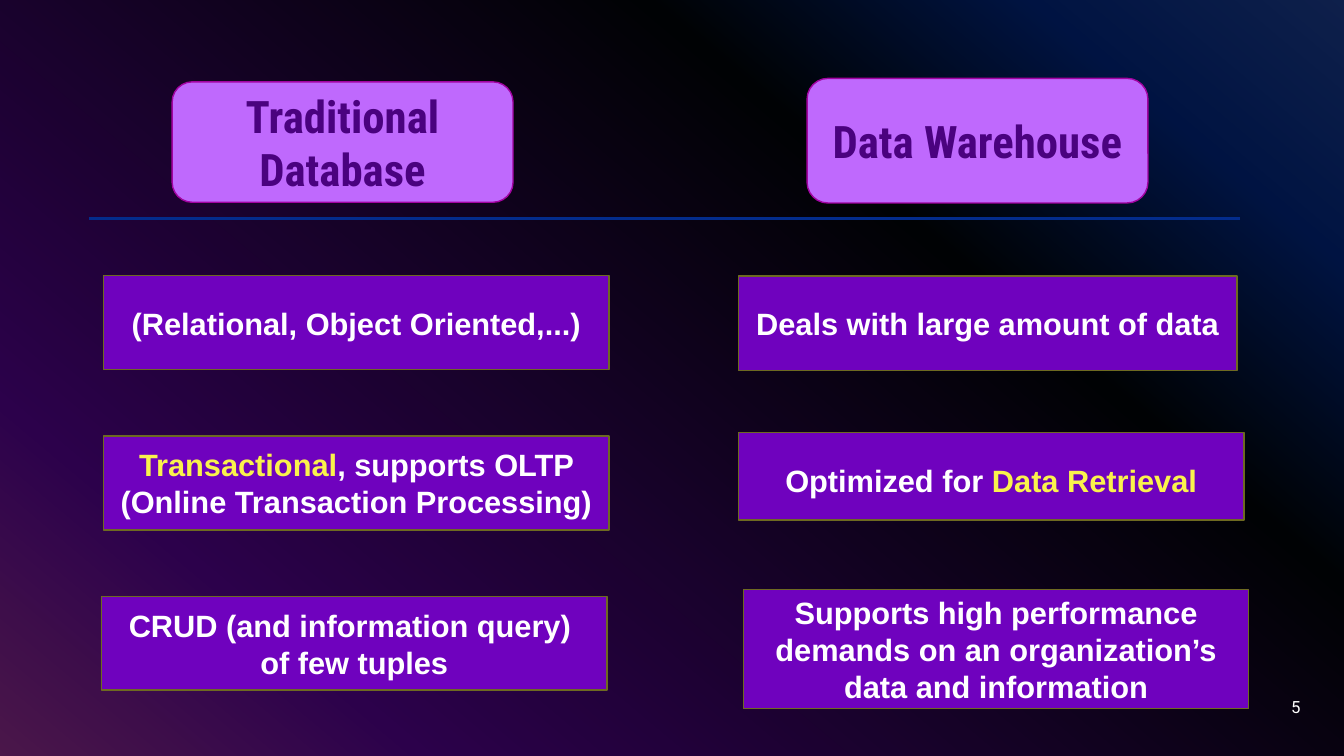
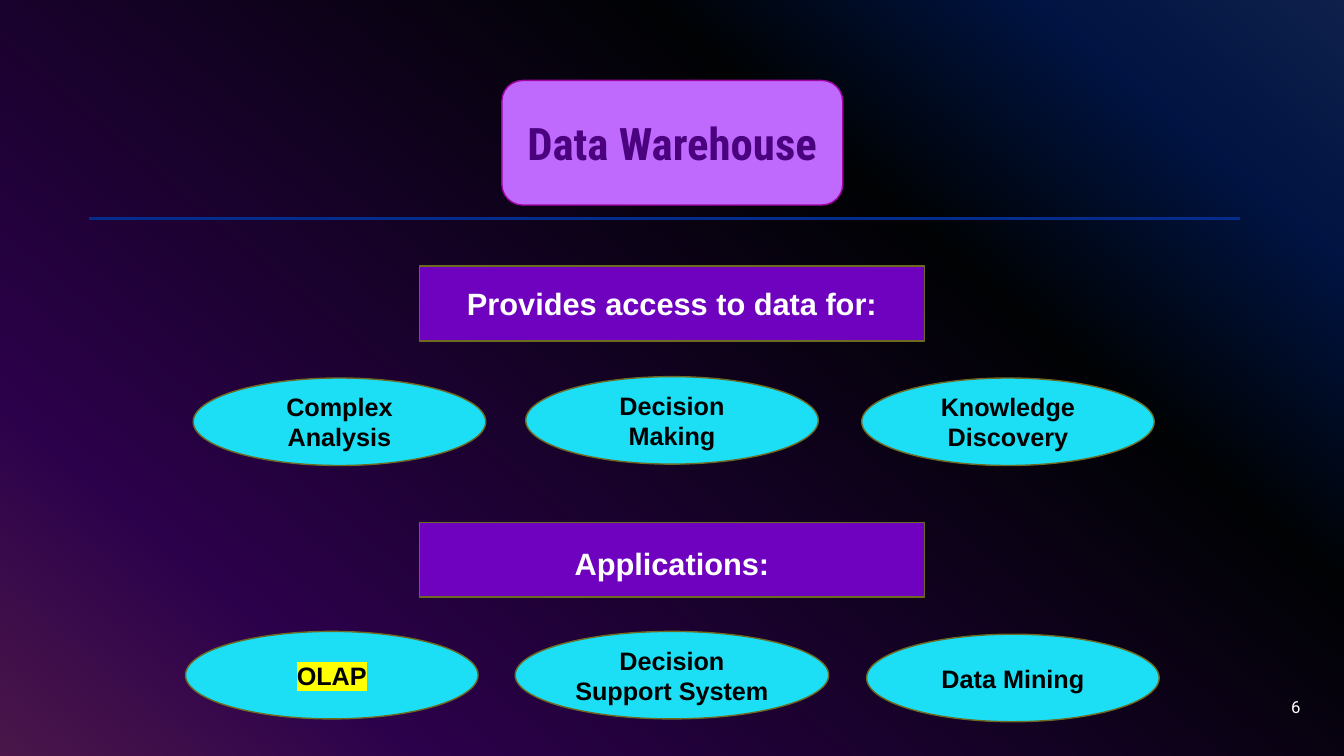
from lxml import etree
from pptx import Presentation
from pptx import util as u
from pptx.dml.color import RGBColor
from pptx.enum import shapes, text
from pptx.oxml.ns import qn

COLOURS = {
    "white": "FFFFFF", "black": "000000", "yellow": "FAF24C", "marker": "FFFF00",
    "violet": "6F02BE", "olive": "6E6A21", "lilac": "BF69FD", "magenta": "A203A1",
    "indigo": "4A027F", "cyan": "1CDFF5", "rule": "032C8C",
}
BACKGROUND = [(0, "316CFC"), (14, "0343DF"), (31, "02090E"), (81, "9405FC"), (100, "FC4EFB")]
WIDTH, HEIGHT = 960, 540

# Text formats and shape styles: outline, fill, line, text colour, format
HEADING = {"name": "Roboto Condensed", "size": u.Pt(32), "bold": True}
STATEMENT = {"name": "Arial", "size": u.Pt(22), "bold": True}
TOPIC = {"name": "Arial", "size": u.Pt(18), "bold": True}
NUMBER = {"name": "Roboto", "size": u.Pt(12), "bold": False}
FRAME = {"vertical_anchor": text.MSO_ANCHOR.MIDDLE, "word_wrap": True}
STYLES = {
    "heading": (shapes.MSO_SHAPE.ROUNDED_RECTANGLE, "lilac", "magenta", "indigo", HEADING),
    "statement": (shapes.MSO_SHAPE.RECTANGLE, "violet", "olive", "white", STATEMENT),
    "topic": (shapes.MSO_SHAPE.OVAL, "cyan", "olive", "black", TOPIC),
}


def rgb(name):
    return RGBColor.from_string(COLOURS[name])


def points(*lengths):
    return [u.Pt(length) for length in lengths]


class Slides:
    """Holds the deck, its style and the current page."""

    def __init__(self):
        self.deck = Presentation()
        self.deck.slide_width, self.deck.slide_height = points(WIDTH, HEIGHT)
        self.page = None
        self.set_background()

    def set_background(self):
        master = self.deck.slide_master
        fill = master.background.fill
        fill.gradient()
        fill.gradient_angle = 360 - 130
        stops = master.element.find(".//" + qn("a:gsLst"))
        for stop in list(stops):
            stops.remove(stop)
        for percent, colour in BACKGROUND:
            stop = etree.SubElement(stops, qn("a:gs"), pos=str(percent * 1000))
            etree.SubElement(stop, qn("a:srgbClr"), val=colour)

    def new_page(self, number):
        self.page = self.deck.slides.add_slide(self.deck.slide_layouts[6])
        self.veil()
        self.rule()
        self.page_number(number)

    def veil(self):
        box = self.page.shapes.add_shape(
            shapes.MSO_SHAPE.RECTANGLE, *points(0, 0, WIDTH, HEIGHT))
        box.shadow.inherit = False
        box.fill.solid()
        box.fill.fore_color.rgb = rgb("black")
        box.line.fill.background()
        colour = box.element.spPr.find(".//" + qn("a:srgbClr"))
        etree.SubElement(colour, qn("a:alpha"), val="70000")

    def rule(self):
        line = self.page.shapes.add_connector(
            shapes.MSO_CONNECTOR.STRAIGHT, *points(63.5, 156, 885.5, 156))
        line.line.color.rgb = rgb("rule")
        line.line.width = u.Pt(2)
        etree.SubElement(line.element.spPr, qn("a:effectLst"))

    def page_number(self, number):
        box = self.page.shapes.add_textbox(*points(720, 490.5, 216, 29))
        self.set_text(box, [[str(number)]], "white", NUMBER, text.PP_ALIGN.RIGHT)

    def shape(self, style, place, *lines, spacing=None):
        """Each line is a text, or a list of texts and (text, colour) pairs."""
        outline, fill, edge, colour, format_values = STYLES[style]
        box = self.page.shapes.add_shape(outline, *points(*place))
        box.shadow.inherit = False
        box.fill.solid()
        box.fill.fore_color.rgb = rgb(fill)
        box.line.color.rgb = rgb(edge)
        box.line.width = u.Pt(1)
        lines = [[line] if isinstance(line, str) else line for line in lines]
        self.set_text(box, lines, colour, format_values, text.PP_ALIGN.CENTER, spacing)
        return box

    def set_text(self, box, lines, colour, format_values, align, spacing=None):
        frame = box.text_frame
        for name, value in FRAME.items():
            setattr(frame, name, value)
        for index, line in enumerate(lines):
            para = frame.add_paragraph() if index else frame.paragraphs[0]
            para.alignment = align
            para.line_spacing = spacing
            for part in line:
                words, tint = (part, colour) if isinstance(part, str) else part
                span = para.add_run()
                span.text = words
                span.font.color.rgb = rgb(tint)
                for name, value in format_values.items():
                    setattr(span.font, name, value)

    def highlight(self, box):
        for fill in box.element.txBody.findall(".//" + qn("a:solidFill")):
            marker = etree.Element(qn("a:highlight"))
            etree.SubElement(marker, qn("a:srgbClr"), val=COLOURS["marker"])
            fill.addnext(marker)


def compare(slides):
    slides.new_page(5)
    # Column headings
    slides.shape("heading", (123, 58.5, 243.5, 86), "Traditional Database")
    slides.shape("heading", (576.5, 56, 243.5, 89), "Data Warehouse")
    # Traditional database
    slides.shape("statement", (74, 197, 361, 67), "(Relational, Object Oriented,...)")
    slides.shape("statement", (74, 311.5, 361, 67),
                 [("Transactional", "yellow"), ", supports OLTP (Online Transaction Processing)"])
    slides.shape("statement", (72.5, 426, 361, 67),
                 "CRUD (and information query) ", "of few tuples")
    # Data warehouse
    slides.shape("statement", (527.5, 197, 356, 67.5), "Deals with large amount of data")
    slides.shape("statement", (527.5, 309, 361, 62.5),
                 ["Optimized for ", ("Data Retrieval", "yellow")], spacing=1.2)
    slides.shape("statement", (531, 421, 361, 85),
                 "Supports high performance demands on an organization’s data and information")


def warehouse(slides):
    slides.new_page(6)
    slides.shape("heading", (358.5, 57.5, 243.5, 89), "Data Warehouse")
    # Section labels
    slides.shape("statement", (299.5, 190, 361, 53.5), "Provides access to data for:")
    slides.shape("statement", (299.5, 373, 361, 53.5), "Applications:", spacing=1.2)
    # Topics: left, top, width, label
    topics = [
        (138, 270, 209, "Complex Analysis"),
        (375.5, 269, 209, "Decision Making"),
        (615.5, 270, 209, "Knowledge Discovery"),
        (368, 451, 224, "Decision Support System"),
        (619, 453, 209, "Data Mining"),
    ]
    for left, top, width, label in topics:
        slides.shape("topic", (left, top, width, 62.5), label)
    slides.highlight(slides.shape("topic", (132.5, 451, 209, 62.5), "OLAP"))


def main():
    slides = Slides()
    compare(slides)
    warehouse(slides)
    slides.deck.save("out.pptx")


if __name__ == "__main__":
    main()
